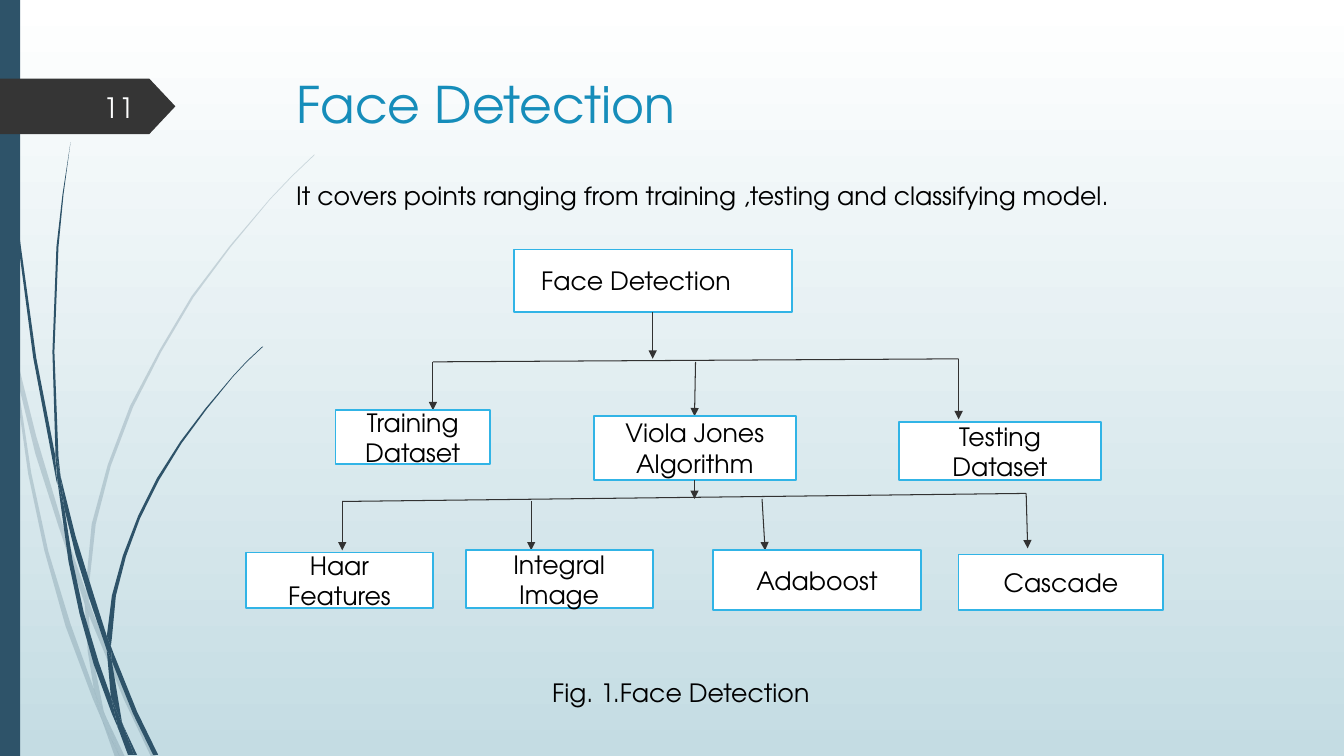
from lxml.etree import SubElement
from pptx import Presentation
from pptx.dml.color import RGBColor
from pptx.enum.shapes import MSO_CONNECTOR as Connector, MSO_SHAPE as Preset
from pptx.enum.text import MSO_ANCHOR as Anchor, MSO_AUTO_SIZE as AutoSize, PP_ALIGN as Align
from pptx.oxml.ns import qn
from pptx.util import Inches, Pt

CELL = Inches(0.1)
COLUMNS, ROWS = 133.33, 75
FONT = "TeX Gyre Adventor"
WHITE = RGBColor(0xFF, 0xFF, 0xFF)
MIST = RGBColor(0xC4, 0xDC, 0xE3)
NAVY = RGBColor(0x2E, 0x53, 0x69)
CHARCOAL = RGBColor(0x35, 0x35, 0x35)
ARROW_GREY = RGBColor(0x32, 0x32, 0x32)
TITLE_BLUE = RGBColor(0x16, 0x8D, 0xBA)
BORDER_BLUE = RGBColor(0x31, 0xB4, 0xE6)
BLACK = RGBColor(0, 0, 0)
NUMBER_WHITE = RGBColor(0xFE, 0xFF, 0xFF)

PALE_BLADES = [
    [(1.1, 35), (0.9, 32.2), (0, 28.2), (0, 29.9), (1, 34.4)],
    [(5.8, 52.2), (8.4, 59.9), (8.5, 58.6), (6.2, 52), (3.6, 43.3), (1.4, 34.5),
     (1.7, 37.6), (3.5, 45)],
    [(9.2, 60.7), (8.8, 59.6), (8.8, 61), (12.3, 69.4), (15, 75.1), (15.5, 75.1), (12.7, 69.2)],
    [(11.9, 75.1), (12.4, 75.1), (10.5, 71.1)],
    [(9.3, 68.3), (7, 61.9), (4.8, 54.7), (3.1, 46.9), (1.7, 37.6), (1.1, 35), (2.8, 47),
     (4.4, 54.6), (6.5, 62.1), (9.2, 69.3), (10.1, 71.4), (9.9, 70.7)],
    [(8.4, 59.9), (8.7, 64.6), (9.3, 68.3), (9.6, 69.2), (10.5, 71.1), (10.3, 70.6),
     (9.1, 64.6), (8.8, 61), (8.8, 60.8)],
    [(8.8, 58.4), (9.5, 52), (11, 46.2), (13.2, 40.4), (16, 34.9), (19.2, 29.5), (22.9, 24.5),
     (26.8, 19.8), (29, 17.5), (31.2, 15.4), (31.2, 15.3), (28.9, 17.5), (26.8, 19.7),
     (22.8, 24.4), (19, 29.4), (15.8, 34.8), (12.9, 40.3), (10.7, 46.1), (9.1, 52),
     (8.5, 58.4), (8.8, 59.6)],
    [(10.1, 71.4), (11.4, 75.1), (11.9, 75.1)],
    [(8.8, 60.8), (8.8, 61), (8.8, 59.6), (8.5, 58.6), (8.4, 59.9)],
    [(9.6, 69.2), (9.3, 68.3), (9.9, 70.7), (10.1, 71.4), (11.9, 75.1), (10.5, 71.1)],
]
DARK_BLADES = [
    [(0.7, 11), (1.7, 23.3), (3.3, 35.5), (5.6, 47.7), (5.7, 48.1), (5.5, 45.7), (5.5, 45.3),
     (3.6, 35.5), (1.9, 23.2), (0.8, 10.9), (0.4, 0), (0.3, 0), (0.4, 4.8)],
    [(8.8, 59.2), (10.6, 64.5), (10.6, 63.1), (9.3, 59), (7.5, 53.2), (6, 47.2),
     (6.4, 50.5), (7.5, 55)],
    [(11.3, 64.9), (11, 64.1), (11.1, 65.6), (13.2, 70.8), (15.2, 74.9), (15.7, 74.9),
     (13.6, 70.6)],
    [(11, 69.1), (9.8, 65.7), (8.3, 60.7), (7.2, 55.6), (6.4, 50.5), (5.7, 47.7), (6.8, 55.7),
     (7.9, 60.9), (9.3, 65.9), (11.1, 70.8), (11.7, 72.2), (11.6, 71.7)],
    [(6, 47.2), (5.8, 45.3), (5.4, 34.9), (5.8, 24.5), (6.3, 19.3), (7, 14.1), (6.2, 19.3),
     (5.6, 24.5), (5.2, 34.9), (5.5, 44.9)],
    [(13.3, 74.9), (13.6, 74.9), (12.2, 71.9)],
    [(5.7, 47.7), (6.4, 50.5), (6, 47.2), (5.5, 44.9), (5.5, 45.3)],
    [(11.1, 63.3), (11.5, 59.1), (12.5, 55.2), (13.9, 51.4), (15.8, 47.6), (18, 44),
     (20.5, 40.6), (23.1, 37.4), (24.5, 35.9), (26.1, 34.4), (26, 34.4), (24.5, 35.8),
     (23.1, 37.3), (20.4, 40.5), (17.9, 43.8), (15.6, 47.4), (13.7, 51.2), (12.2, 55.1),
     (11.1, 59.1), (10.6, 63.1), (11, 64.1)],
    [(11.7, 72.2), (12.7, 74.9), (13.1, 74.9)],
    [(10.6, 64.5), (11, 69.1), (11.6, 70.6), (12.2, 71.9), (12.1, 71.6), (11.1, 65.6),
     (10.9, 65.1)],
    [(10.6, 64.5), (10.9, 65.1), (11.1, 65.6), (11, 64.1), (10.6, 63.1)],
    [(11.6, 70.6), (11, 69.1), (11.6, 71.7), (11.7, 72.2), (13, 74.9), (13.3, 74.9),
     (12.2, 71.9)],
]

FLOW_LEVELS = [
    {"stem": (40.35, 6.2, 40.35, 10.8),
     "bar": (18.55, 11.1, 70.7, 10.8),
     "drops": [(18.55, 11.1, 18.55, 15.9), (44.6, 11.1, 44.5, 16.5), (70.7, 10.8, 70.7, 16.8)],
     "steps": [("Training Dataset", (8.9, 15.9, 15.3, 5.35)),
               ("Viola Jones Algorithm", (34.5, 16.5, 20.05, 6.3)),
               ("Testing Dataset", (64.8, 17.1, 20, 5.7))]},
    {"stem": (44.5, 22.8, 44.5, 24.7),
     "bar": (9.55, 24.95, 77.4, 24.15),
     "drops": [(9.55, 24.95, 9.55, 29.8), (28.3, 24.95, 28.3, 29.8),
               (51.2, 24.7, 51.5, 29.8), (77.4, 24.15, 77.55, 29.6)],
     "steps": [("Haar Features", (0, 30, 18.55, 5.5)),
               ("Integral Image", (21.8, 29.8, 18.55, 5.7)),
               ("Adaboost", (46.3, 29.8, 20.7, 5.9)),
               ("Cascade", (70.7, 30.2, 20.3, 5.5))]},
]


def grid(*cells):
    """Convert grid cells to slide lengths."""
    return [round(cell * CELL) for cell in cells]


def inside(region, box):
    """Shift a box by the corner of its region."""
    return (region[0] + box[0], region[1] + box[1], *box[2:])


def write(frame, text, size=18, color=BLACK, align=Align.LEFT, anchor=Anchor.TOP):
    """Write one formatted paragraph into a text frame."""
    frame.word_wrap = True
    frame.auto_size = AutoSize.NONE
    frame.vertical_anchor = anchor
    paragraph = frame.paragraphs[0]
    paragraph.text = text
    paragraph.alignment = align
    font = paragraph.runs[0].font
    font.name, font.size, font.color.rgb = FONT, Pt(size), color


def add_label(slide, text, box, **style):
    """Add a text box."""
    write(slide.shapes.add_textbox(*grid(*box)).text_frame, text, **style)


def add_panel(slide, preset, box, fill, border=None):
    """Add a filled preset shape with an optional border."""
    panel = slide.shapes.add_shape(preset, *grid(*box))
    panel.shadow.inherit = False
    panel.fill.solid()
    panel.fill.fore_color.rgb = fill
    if border:
        panel.line.color.rgb = border
        panel.line.width = Pt(1.25)
    else:
        panel.line.fill.background()
    return panel


def add_link(slide, region, ends, arrow=True):
    """Draw a line of the flow, with an arrowhead at its end."""
    left, top = region[:2]
    x1, y1, x2, y2 = ends
    link = slide.shapes.add_connector(
        Connector.STRAIGHT, *grid(left + x1, top + y1, left + x2, top + y2))
    link.line.color.rgb = ARROW_GREY
    link.line.width = Pt(0.75)
    properties = link.element.spPr
    if arrow:
        SubElement(properties.find(qn("a:ln")), qn("a:tailEnd"), type="triangle")
    SubElement(properties, qn("a:effectLst"))


def add_blade(slide, outline, opacity):
    """Draw one piece of a tapering blade of grass."""
    start, *rest = [grid(*point) for point in outline]
    builder = slide.shapes.build_freeform(*start)
    builder.add_line_segments(rest, close=True)
    blade = builder.convert_to_shape()
    blade.shadow.inherit = False
    blade.fill.solid()
    blade.fill.fore_color.rgb = NAVY
    blade.line.fill.background()
    if opacity < 100:
        tint = blade.element.spPr.find(qn("a:solidFill")).find(qn("a:srgbClr"))
        SubElement(tint, qn("a:alpha"), val=str(opacity * 1000))


def decorate(slide, box):
    """Paint the background, grass, side band and page tag."""
    backdrop = slide.background.fill
    backdrop.gradient()
    backdrop.gradient_angle = 270
    for stop, color, position in zip(backdrop.gradient_stops, (WHITE, MIST), (0, 1)):
        stop.color.rgb = color
        stop.position = position
    for blades, opacity in ((PALE_BLADES, 20), (DARK_BLADES, 100)):
        for outline in blades:
            add_blade(slide, outline, opacity)
    add_panel(slide, Preset.RECTANGLE, (*box[:2], 2, box[3]), NAVY)
    tag = add_panel(slide, Preset.PENTAGON, inside(box, (0, 7.8, 17.4, 5.5)), CHARCOAL)
    tag.adjustments[0] = 0.47
    add_label(slide, "11", inside(box, (5.8, 8.6, 8.5, 4)), size=20, color=NUMBER_WHITE,
              align=Align.RIGHT, anchor=Anchor.MIDDLE)


def add_heading(slide, box):
    """Place the title and the sentence below it."""
    title = slide.shapes.title
    title.left, title.top, title.width, title.height = grid(*box[:3], 8.2)
    write(title.text_frame, "Face Detection", size=36, color=TITLE_BLUE)
    add_label(slide, "It covers points ranging from training ,testing and classifying model.",
              inside(box, (0, 10.6, box[2], 4)))


def add_flow(slide, region):
    """Draw the tree of detection steps and its caption."""
    add_panel(slide, Preset.RECTANGLE, inside(region, (26.6, -0.05, 27.55, 6.2)),
              WHITE, BORDER_BLUE)
    for level in FLOW_LEVELS:
        add_link(slide, region, level["bar"], arrow=False)
        for ends in [level["stem"], *level["drops"]]:
            add_link(slide, region, ends)
        for text, box in level["steps"]:
            step = add_panel(slide, Preset.RECTANGLE, inside(region, box), WHITE, BORDER_BLUE)
            write(step.text_frame, text, align=Align.CENTER, anchor=Anchor.MIDDLE)
    add_label(slide, "Face Detection", inside(region, (28.3, 1, 24.7, 4)))
    add_label(slide, "Fig. 1.Face Detection", inside(region, (29.4, 41.9, 28.1, 4)))


def main():
    """Build and save the slide."""
    deck = Presentation()
    deck.slide_width, deck.slide_height = grid(COLUMNS, ROWS)
    slide = deck.slides.add_slide(deck.slide_layouts[5])
    decorate(slide, (0, 0, COLUMNS, ROWS))
    add_heading(slide, (28.4, 6.8, 97.5, 14.6))
    add_flow(slide, (24.4, 24.8, 91, 45.9))
    deck.save("out.pptx")


if __name__ == "__main__":
    main()
